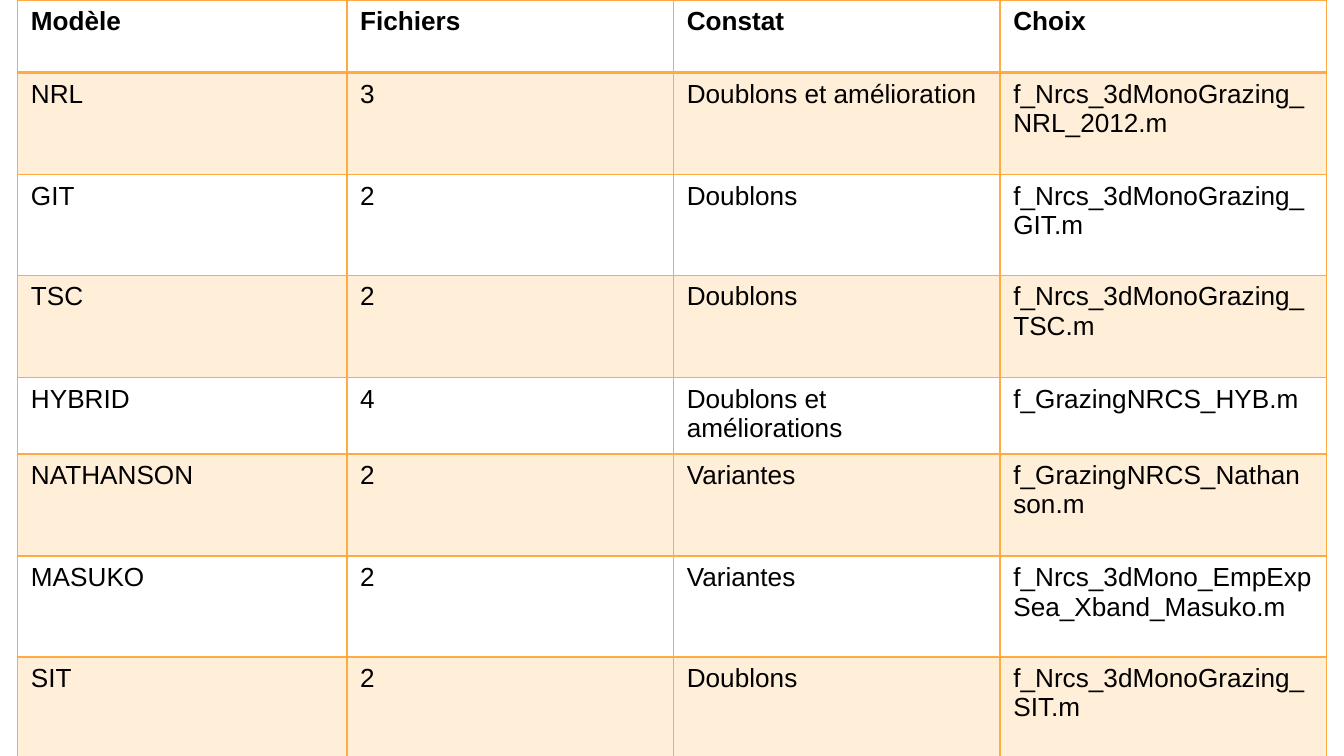
import pptx
import pptx.util
import pptx.dml.color
import pptx.oxml.ns
from lxml import etree

Inches = pptx.util.Inches
RGBColor = pptx.dml.color.RGBColor

ORANGE = RGBColor(0xFF, 0xAB, 0x40)
BLACK = RGBColor(0, 0, 0)

HEADINGS = ("Modèle", "Fichiers", "Constat", "Choix")
MODELS = (
    ("NRL", "3", "Doublons et amélioration", "f_Nrcs_3dMonoGrazing_NRL_2012.m"),
    ("GIT", "2", "Doublons", "f_Nrcs_3dMonoGrazing_GIT.m"),
    ("TSC", "2", "Doublons", "f_Nrcs_3dMonoGrazing_TSC.m"),
    ("HYBRID", "4", "Doublons et améliorations", "f_GrazingNRCS_HYB.m"),
    ("NATHANSON", "2", "Variantes", "f_GrazingNRCS_Nathanson.m"),
    ("MASUKO", "2", "Variantes", "f_Nrcs_3dMono_EmpExpSea_Xband_Masuko.m"),
    ("SIT", "2", "Doublons", "f_Nrcs_3dMonoGrazing_SIT.m"),
)
COLUMN_WIDTHS = (2.45, 2.43, 2.43, 2.43)
ROW_HEIGHTS = (0.54, 0.76, 0.75, 0.76, 0.57, 0.76, 0.75, 0.76)


def add_xml(parent, tag, **attributes):
    return etree.SubElement(parent, pptx.oxml.ns.qn(tag), attributes)


def set_borders(cell, top, bottom):
    properties = cell._tc.get_or_add_tcPr()
    for side, width in (("L", 1), ("R", 1), ("T", top), ("B", bottom)):
        line = add_xml(properties, f"a:ln{side}", w=str(pptx.util.Pt(width)))
        add_xml(add_xml(line, "a:solidFill"), "a:srgbClr", val=str(ORANGE))


def set_fill(cell, shaded):
    if not shaded:
        cell.fill.background()
        return
    cell.fill.solid()
    cell.fill.fore_color.rgb = ORANGE
    color = cell._tc.tcPr.find(pptx.oxml.ns.qn("a:solidFill"))[0]
    add_xml(color, "a:alpha", val="20000")


def write_text(cell, text, size=14, bold=False, color=BLACK, font="Arial"):
    run = cell.text_frame.paragraphs[0].add_run()
    run.text = text
    run.font.name = font
    run.font.size = pptx.util.Pt(size)
    run.font.bold = bold
    run.font.color.rgb = color


def add_model_table(slide, left, top, width, height):
    rows = (HEADINGS, *MODELS)
    table = slide.shapes.add_table(
        len(rows), len(HEADINGS), Inches(left), Inches(top), Inches(width), Inches(height)
    ).table
    for column, column_width in zip(table.columns, COLUMN_WIDTHS):
        column.width = Inches(column_width)
    for index, (texts, row_height) in enumerate(zip(rows, ROW_HEIGHTS)):
        table.rows[index].height = Inches(row_height)
        for position, text in enumerate(texts):
            cell = table.cell(index, position)
            set_borders(cell, top=2 if index == 1 else 1, bottom=2 if index == 0 else 1)
            set_fill(cell, shaded=index % 2 == 1)
            write_text(cell, text, bold=index == 0)


def main():
    presentation = pptx.Presentation()
    presentation.slide_width = Inches(10)
    presentation.slide_height = presentation.slide_width * 9 // 16
    slide = presentation.slides.add_slide(presentation.slide_layouts[6])
    add_model_table(slide, 0.13, 0, sum(COLUMN_WIDTHS), sum(ROW_HEIGHTS))
    presentation.save("out.pptx")


if __name__ == "__main__":
    main()
